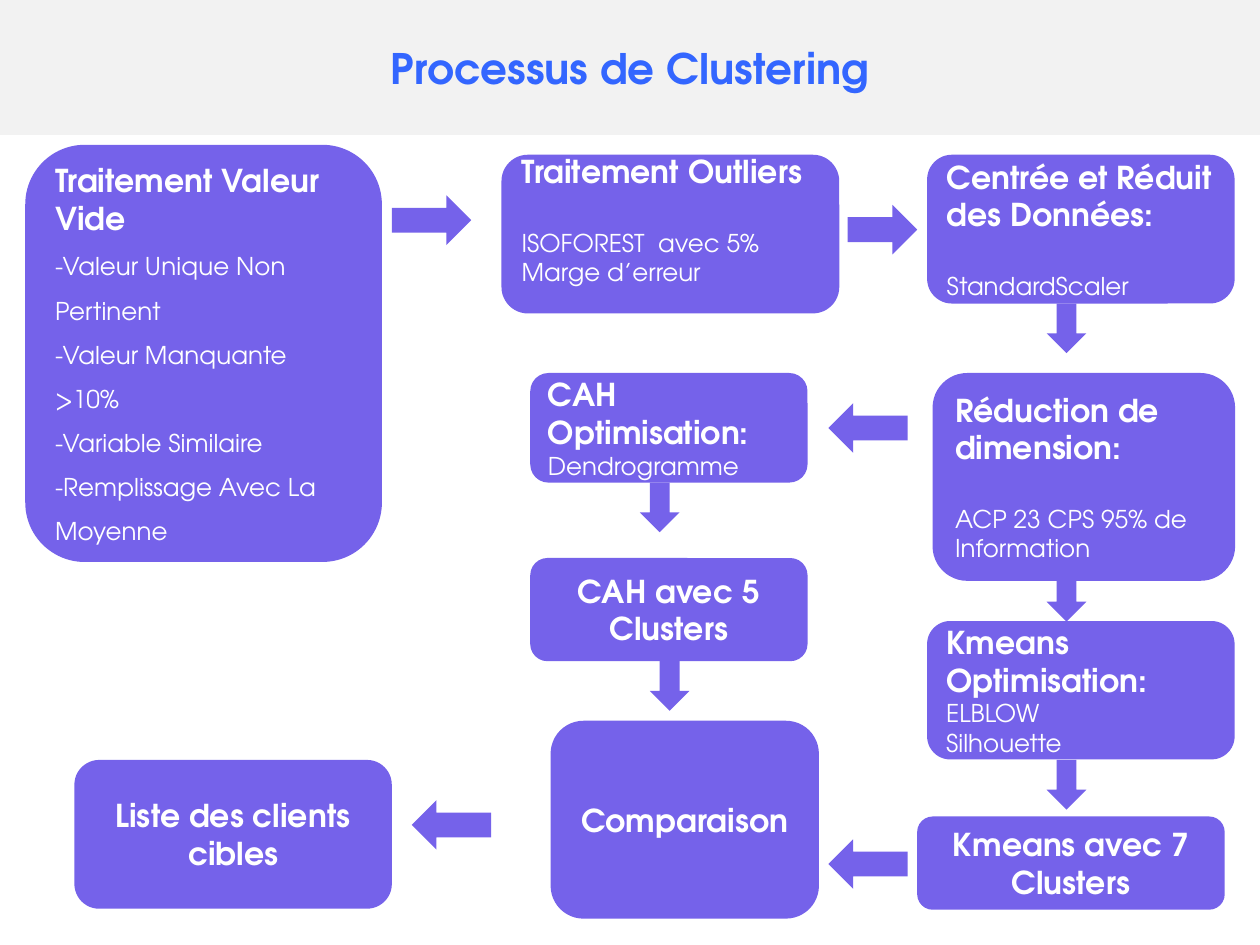
from pptx import Presentation
from pptx.dml.color import RGBColor
from pptx.enum.shapes import MSO_SHAPE as SHAPE
from pptx.enum.text import MSO_ANCHOR as ANCHOR, PP_ALIGN as ALIGN
from pptx.util import Cm, Pt

FONT = "TeX Gyre Adventor"
PURPLE = RGBColor(0x75, 0x62, 0xEA)
BLUE = RGBColor(0x33, 0x66, 0xFF)
GREY = RGBColor(0xF2, 0xF2, 0xF2)
WHITE = RGBColor(0xFF, 0xFF, 0xFF)
BLANK_LINE = Pt(21.6)  # height of one heading line


def style(p, size, color, bold=False, align=ALIGN.LEFT):
    p.alignment = align
    f = p.font
    f.name, f.size, f.bold = FONT, Pt(size), bold
    f.color.rgb = color


def add_title(slide, box, text):
    sp = slide.shapes.title
    sp.left, sp.top, sp.width, sp.height = map(Cm, box)
    sp.fill.solid()
    sp.fill.fore_color.rgb = GREY
    tf = sp.text_frame
    tf.text = text
    tf.vertical_anchor = ANCHOR.MIDDLE
    style(tf.paragraphs[0], 24, BLUE, True, ALIGN.CENTER)


def add_block(slide, shape, box):
    sp = slide.shapes.add_shape(shape, *map(Cm, box))
    sp.shadow.inherit = False
    sp.fill.solid()
    sp.fill.fore_color.rgb = PURPLE
    sp.line.fill.background()
    return sp


def add_step(slide, box, heading, details=(), gap=0, spacing=None, bottom=0.13):
    """Rounded step: centred heading alone, or left heading with details."""
    tf = add_block(slide, SHAPE.ROUNDED_RECTANGLE, box).text_frame
    tf.word_wrap = True
    tf.vertical_anchor = ANCHOR.MIDDLE
    tf.margin_bottom = Cm(bottom)
    p = tf.paragraphs[0]
    p.text = heading
    style(p, 18, WHITE, True, ALIGN.LEFT if details else ALIGN.CENTER)
    for i, detail in enumerate(details):
        p = tf.add_paragraph()
        p.text = detail
        style(p, 14, WHITE)
        if spacing:
            p.line_spacing = spacing
        if gap and i == 0:
            p.space_before = gap


def add_arrows(slide, shape, width, places):
    for left, top in places:
        add_block(slide, shape, (left, top, width, 1))


prs = Presentation()
prs.slide_width, prs.slide_height = Cm(25.4), Cm(19.05)
slide = prs.slides.add_slide(prs.slide_layouts[5])
add_title(slide, (0, 0, 25.4, 2.72), "Processus de Clustering")

# Data preparation
add_step(slide, (0.51, 2.92, 7.19, 8.41), "Traitement Valeur Vide",
         ["-Valeur Unique Non Pertinent", "-Valeur Manquante >10%",
          "-Variable Similaire", "-Remplissage Avec La Moyenne"], spacing=1.5)
add_step(slide, (10.11, 3.12, 6.81, 3.2), "Traitement Outliers",
         ["ISOFOREST  avec 5% Marge d’erreur"], gap=BLANK_LINE, bottom=0.72)
add_step(slide, (18.69, 3.12, 6.2, 3), "Centrée et Réduit des Données:",
         ["StandardScaler"], gap=BLANK_LINE)
add_step(slide, (18.8, 7.52, 6.1, 4.19), "Réduction de dimension:",
         ["ACP 23 CPS 95% de Information"], gap=BLANK_LINE)

# Two clustering branches
add_step(slide, (10.69, 7.52, 5.59, 2.21), "CAH Optimisation:", ["Dendrogramme"])
add_step(slide, (10.69, 11.25, 5.59, 2.08), "CAH avec 5 Clusters")
add_step(slide, (18.69, 12.52, 6.2, 2.79), "Kmeans Optimisation:",
         ["ELBLOW", "Silhouette"])
add_step(slide, (18.49, 16.46, 6.2, 1.88), "Kmeans avec 7 Clusters")

# Result
add_step(slide, (11.1, 14.53, 5.41, 3.99), "Comparaison")
add_step(slide, (1.5, 15.32, 6.4, 3), "Liste des clients cibles")

# Flow arrows
add_arrows(slide, SHAPE.RIGHT_ARROW, 1.6, [(7.9, 3.94)])
add_arrows(slide, SHAPE.RIGHT_ARROW, 1.4, [(17.09, 4.13)])
add_arrows(slide, SHAPE.DOWN_ARROW, 0.8,
           [(21.1, 6.12), (21.1, 11.53), (21.1, 15.32), (12.9, 9.73), (13.1, 13.33)])
add_arrows(slide, SHAPE.LEFT_ARROW, 1.6, [(16.7, 8.13), (16.7, 16.92), (8.3, 16.13)])

prs.save("out.pptx")
